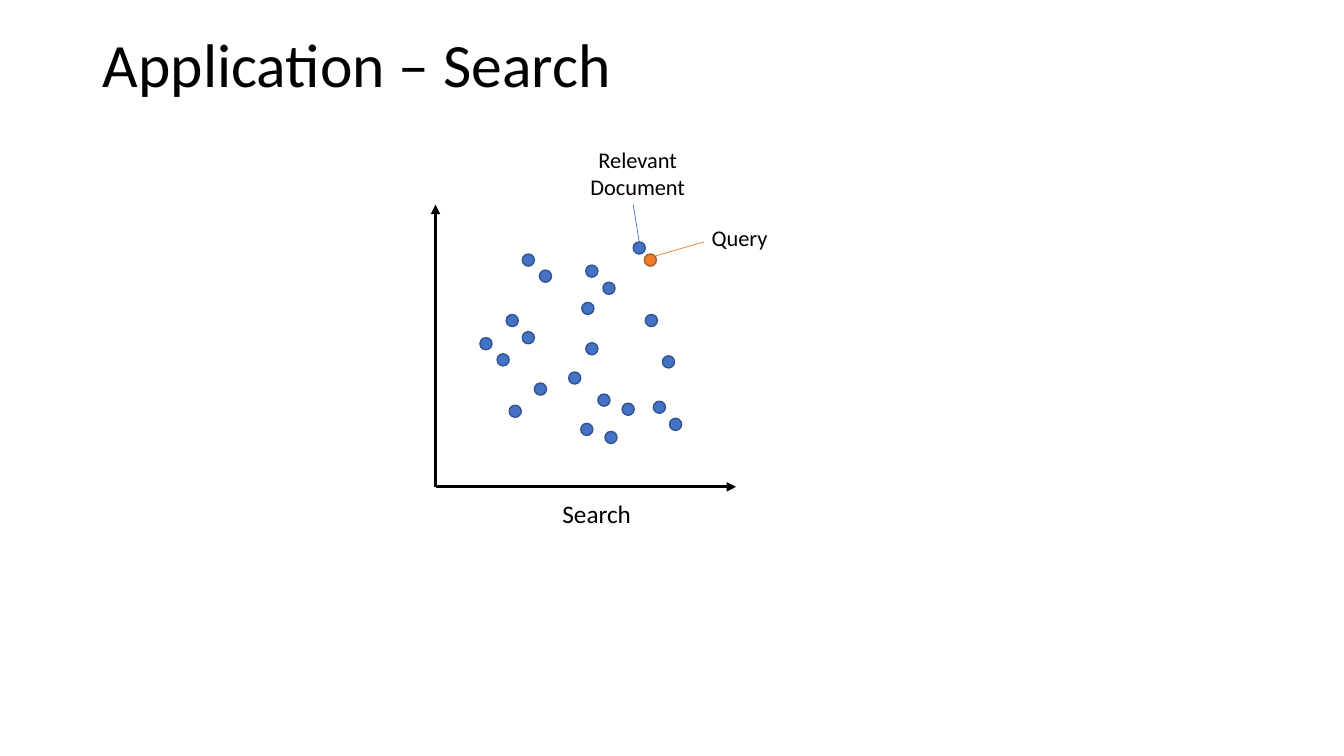
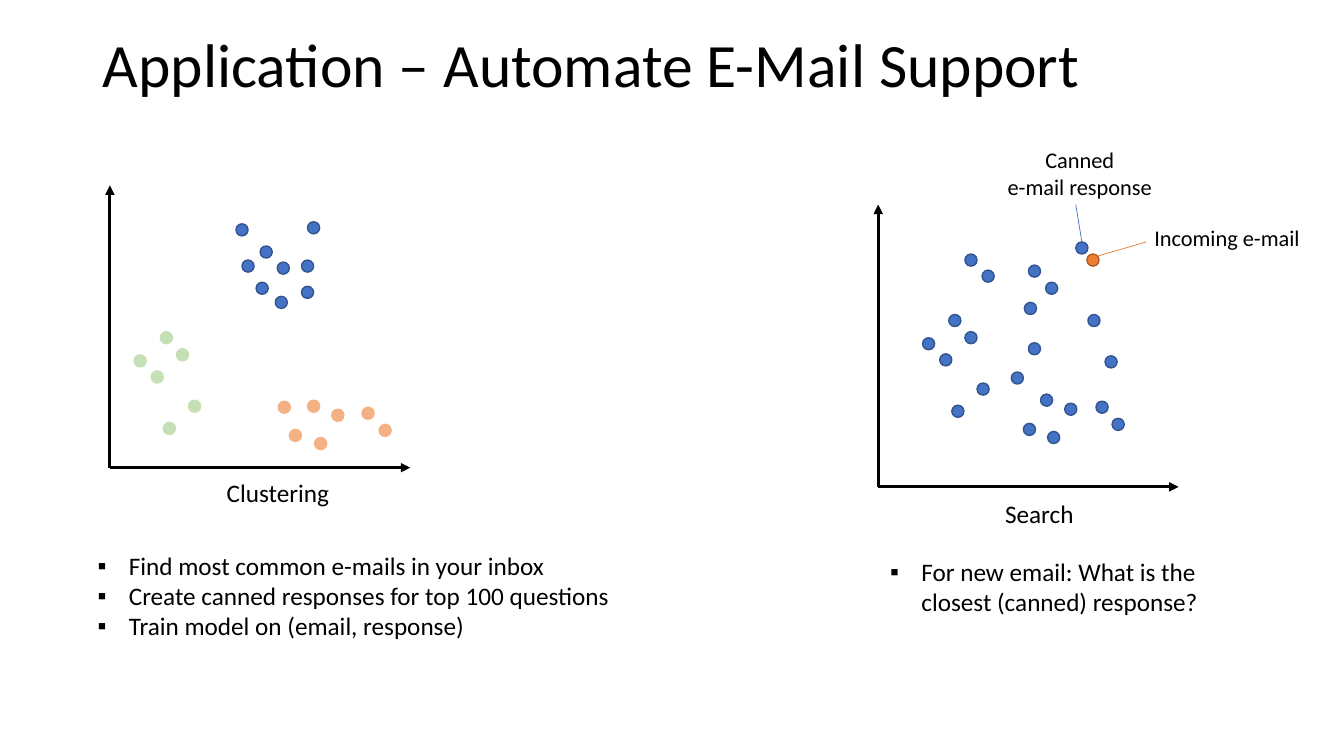
from lxml import etree
from pptx import Presentation
from pptx import util as u
from pptx.dml.color import RGBColor
from pptx.enum import shapes, text
from pptx.oxml.ns import qn

FONT = "Calibri"
BLACK = RGBColor(0x00, 0x00, 0x00)
BLUE = RGBColor(0x44, 0x72, 0xC4)
NAVY = RGBColor(0x32, 0x54, 0x91)
ORANGE = RGBColor(0xED, 0x7D, 0x31)
RUST = RGBColor(0xAF, 0x5C, 0x24)
GREEN = RGBColor(0xC5, 0xE0, 0xB4)
PEACH = RGBColor(0xF4, 0xB1, 0x83)

DOT = 12              # dot diameter
WIDE, HIGH = 298, 280  # axis lengths
LEFT, MID = text.PP_ALIGN.LEFT, text.PP_ALIGN.CENTER

# Dot places, measured from the top of the vertical axis
DOCS = [(70, 109), (86, 126), (145, 97), (98, 177), (185, 197), (149, 137),
        (208, 109), (161, 188), (86, 49), (103, 65), (196, 37), (149, 60),
        (166, 77), (44, 132), (61, 148), (73, 199), (168, 225), (132, 166),
        (144, 217), (216, 195), (232, 212), (225, 150)]
QUERY = [(207, 49)]
GROUPS = [
    (GREEN, GREEN, [(50, 145), (66, 162), (78, 213), (24, 168), (41, 184),
                    (53, 235)]),
    (BLUE, NAVY, [(145, 96), (164, 110), (190, 74), (125, 38), (131, 74),
                  (196, 36), (149, 60), (166, 76), (190, 100)]),
    (PEACH, PEACH, [(220, 222), (196, 213), (203, 250), (167, 214),
                    (178, 242), (250, 220), (267, 237)]),
]


def px(n):
    """100 px make one inch."""
    return u.Emu(n * 9144)


def style(run, size):
    run.font.name = FONT
    run.font.size = u.Pt(size)
    run.font.color.rgb = BLACK


def start(deck, title):
    """Add a slide with its title."""
    slide = deck.slides.add_slide(deck.slide_layouts[5])
    head = slide.shapes.title
    head.left, head.top, head.width, head.height = map(px, (92, -5, 1150, 145))
    frame = head.text_frame
    frame.auto_size = text.MSO_AUTO_SIZE.NONE
    frame.vertical_anchor = text.MSO_ANCHOR.MIDDLE
    para = frame.paragraphs[0]
    para.alignment = LEFT
    para.line_spacing = 0.9
    run = para.add_run()
    run.text = title
    style(run, 44)
    return slide


def bullet(para):
    props = para._p.get_or_add_pPr()
    props.set("marL", str(px(31)))
    props.set("indent", str(px(-31)))
    etree.SubElement(props, qn("a:buFont")).set("typeface", "Arial")
    etree.SubElement(props, qn("a:buChar")).set("char", "▪")


def label(slide, box, paras, size=18, align=LEFT, list_=False):
    """Add a text box; a list wraps and has bullets."""
    frame = slide.shapes.add_textbox(*map(px, box)).text_frame
    frame.word_wrap = list_
    for i, words in enumerate(paras):
        para = frame.add_paragraph() if i else frame.paragraphs[0]
        para.alignment = align
        if list_:
            bullet(para)
        for j, part in enumerate(words.split("\n")):
            if j:
                para.add_line_break()
            run = para.add_run()
            run.text = part
            style(run, size)


def line(slide, ends, color, width, arrow=False):
    """Add a line; the arrowhead sits at its first end."""
    link = slide.shapes.add_connector(shapes.MSO_CONNECTOR.STRAIGHT,
                                      *map(px, ends))
    link.line.color.rgb = color
    link.line.width = u.Pt(width)
    if arrow:
        tip = etree.SubElement(link.line._get_or_add_ln(), qn("a:headEnd"))
        tip.set("type", "triangle")
    etree.SubElement(link._element.spPr, qn("a:effectLst"))


def axes(slide, x, y):
    base = y + HIGH
    line(slide, (x, y, x, base), BLACK, 2.25, True)
    line(slide, (x + WIDE, base, x, base), BLACK, 2.25, True)


def dots(slide, x, y, fill, edge, spots):
    for dx, dy in spots:
        dot = slide.shapes.add_shape(shapes.MSO_SHAPE.OVAL, px(x + dx),
                                     px(y + dy), px(DOT), px(DOT))
        dot.shadow.inherit = False
        dot.fill.solid()
        dot.fill.fore_color.rgb = fill
        dot.line.color.rgb = edge
        dot.line.width = u.Pt(1)


def search(slide, x, y, query, reply, wide):
    """Plot of documents with one query; wide holds both label widths."""
    axes(slide, x, y)
    dots(slide, x, y, BLUE, NAVY, DOCS)
    dots(slide, x, y, ORANGE, RUST, QUERY)
    line(slide, (x + 218, y + 51, x + 266, y + 37), ORANGE, 0.5)
    label(slide, (x + 264, y + 14, wide[0], 37), [query], 16)
    line(slide, (x + 196, y, x + 202, y + 37), BLUE, 0.5)
    label(slide, (x + 200 - wide[1] // 2, y - 63, wide[1], 64), reply, 16, MID)
    label(slide, (x + 116, y + 286, 89, 40), ["Search"])


def cluster(slide, x, y):
    axes(slide, x, y)
    for fill, edge, spots in GROUPS:
        dots(slide, x, y, fill, edge, spots)
    label(slide, (x + 106, y + 285, 123, 40), ["Clustering"])


def main():
    deck = Presentation()
    deck.slide_width, deck.slide_height = px(1333), px(750)

    # Search
    slide = start(deck, "Application – Search")
    search(slide, 432, 203, "Query", ["Relevant", "Document"], (76, 115))

    # E-mail support
    slide = start(deck, "Application – Automate E-Mail Support")
    search(slide, 871, 203, "Incoming e-mail", ["Canned\ne-mail response"],
           (166, 170))
    cluster(slide, 109, 184)
    label(slide, (87, 541, 570, 101),
          ["Find most common e-mails in your inbox",
           "Create canned responses for top 100 questions",
           "Train model on (email, response)"], list_=True)
    label(slide, (873, 547, 328, 71),
          ["For new email: What is the closest (canned) response?"],
          list_=True)

    deck.save("out.pptx")


if __name__ == "__main__":
    main()
